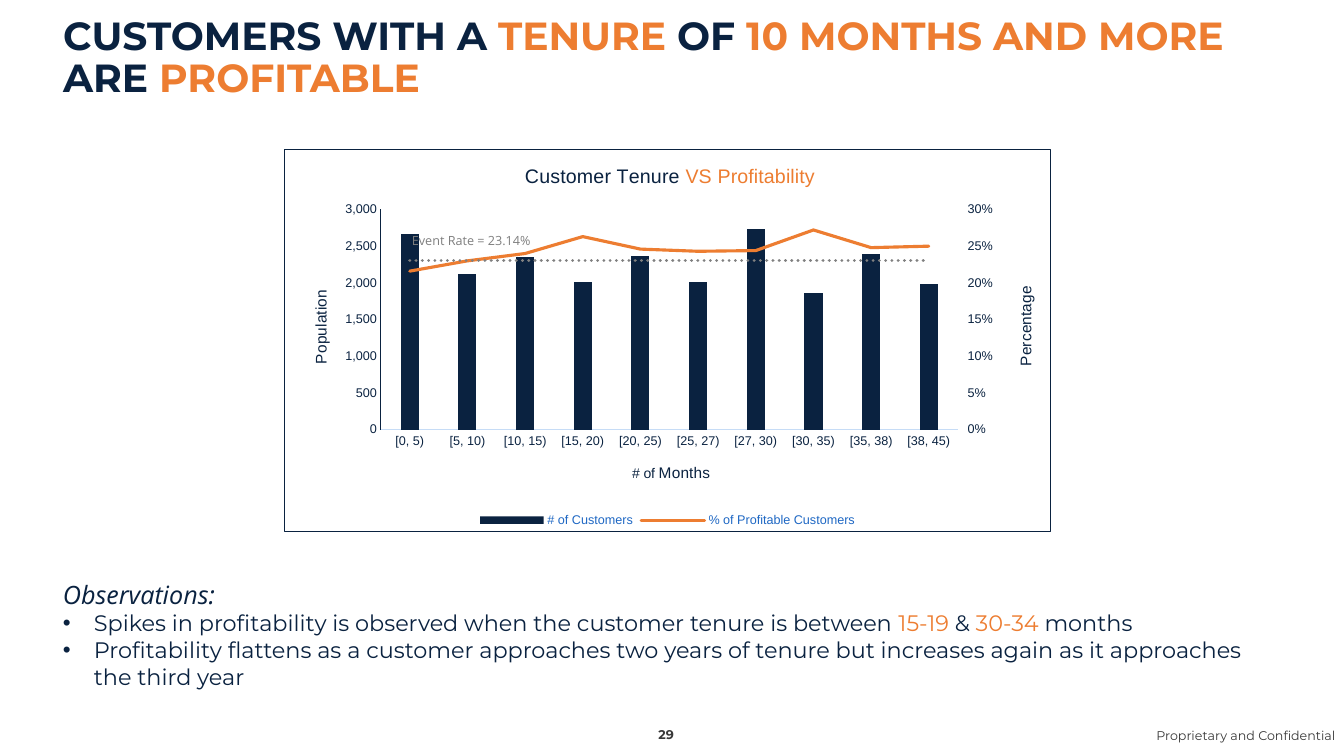
from pptx import Presentation
from pptx.chart.axis import ValueAxis
from pptx.chart.data import CategoryChartData
from pptx.dml.color import RGBColor
from pptx.enum.chart import XL_CHART_TYPE as ChartType, XL_LEGEND_POSITION as LegendPosition, XL_TICK_MARK as TickMark
from pptx.enum.dml import MSO_LINE as Dash
from pptx.enum.text import MSO_ANCHOR as Anchor, MSO_AUTO_SIZE as AutoSize, PP_ALIGN as Align
from pptx.oxml import parse_xml
from pptx.oxml.ns import nsdecls, qn
from pptx.util import Emu, Pt

NAVY = RGBColor(0x0A, 0x22, 0x40)
ORANGE = RGBColor(0xED, 0x7D, 0x31)
GRAY = RGBColor(0x80, 0x80, 0x80)
NOTE_GRAY = RGBColor(0x7F, 0x7F, 0x7F)
FOOTER_GRAY = RGBColor(0x39, 0x39, 0x39)
LEGEND_BLUE = RGBColor(0x1F, 0x68, 0xC4)
PALE_BLUE = RGBColor(0xC6, 0xDC, 0xF6)
EMU_PER_PX = 914400 / 100.8


def px(*lengths):
    return [Emu(round(length * EMU_PER_PX)) for length in lengths]


def write(paragraph, text, size=16, font="Montserrat", color=NAVY, bold=False, italic=False):
    run = paragraph.add_run()
    run.text = text
    run.font.size = Pt(size)
    run.font.name = font
    run.font.color.rgb = color
    run.font.bold = bold
    run.font.italic = italic


deck = Presentation()
deck.slide_width, deck.slide_height = px(1344, 756)
slide = deck.slides.add_slide(deck.slide_layouts[5])

# Title
headline = slide.shapes.title
headline.left, headline.top, headline.width, headline.height = px(53, 10, 1238, 96)
headline.text_frame.auto_size = AutoSize.NONE
headline.text_frame.vertical_anchor = Anchor.BOTTOM
headline_line = headline.text_frame.paragraphs[0]
headline_line.alignment = Align.LEFT
headline_line.line_spacing = 0.9
for text, color in [("CUSTOMERS WITH A ", NAVY), ("TENURE", ORANGE), (" OF ", NAVY),
                    ("10 MONTHS AND MORE ", ORANGE), ("ARE ", NAVY), ("PROFITABLE", ORANGE)]:
    write(headline_line, text, size=28, color=color, bold=True)

# Chart data
tenure_data = CategoryChartData()
tenure_data.categories = ["[0, 5)", "[5, 10)", "[10, 15)", "[15, 20)", "[20, 25)",
                          "[25, 27)", "[27, 30)", "[30, 35)", "[35, 38)", "[38, 45)"]
tenure_data.add_series("# of Customers",
                       [2660, 2120, 2350, 2010, 2360, 2010, 2740, 1860, 2400, 1990], "#,##0")
tenure_data.add_series("% of Profitable Customers",
                       [0.216, 0.23, 0.24, 0.263, 0.246, 0.243, 0.244, 0.272, 0.248, 0.25], "0%")
tenure_data.add_series("Series 3", [0.231] * 10, "0%")
chart = slide.shapes.add_chart(ChartType.COLUMN_CLUSTERED, *px(284, 149, 767, 383), tenure_data).chart
chart.font.size = Pt(10)
chart.font.name = "Arial"
chart.font.color.rgb = NAVY
months, population = chart.category_axis, chart.value_axis

# Lines on a second axis
plot_area = chart.element.find(qn("c:chart")).find(qn("c:plotArea"))
bars = plot_area.find(qn("c:barChart"))
lines = parse_xml(f"""<c:lineChart {nsdecls('c')}>
  <c:grouping val="standard"/><c:varyColors val="0"/>
  <c:marker val="1"/><c:axId val="5001"/><c:axId val="5002"/></c:lineChart>""")
for series in bars.findall(qn("c:ser"))[1:]:
    for invert in series.findall(qn("c:invertIfNegative")):
        series.remove(invert)
    series.find(qn("c:cat")).addprevious(
        parse_xml(f'<c:marker {nsdecls("c")}><c:symbol val="none"/></c:marker>'))
    lines.find(qn("c:marker")).addprevious(series)
bars.addnext(lines)
hidden_axis = parse_xml(f"""<c:catAx {nsdecls('c')}><c:axId val="5001"/>
  <c:scaling><c:orientation val="minMax"/></c:scaling><c:delete val="1"/>
  <c:axPos val="b"/><c:crossAx val="5002"/><c:crosses val="autoZero"/></c:catAx>""")
percent_axis = parse_xml(f"""<c:valAx {nsdecls('c')}><c:axId val="5002"/>
  <c:scaling><c:orientation val="minMax"/></c:scaling><c:delete val="0"/>
  <c:axPos val="r"/><c:tickLblPos val="nextTo"/><c:crossAx val="5001"/>
  <c:crosses val="max"/><c:crossBetween val="between"/></c:valAx>""")
plot_area.find(qn("c:valAx")).addnext(hidden_axis)
hidden_axis.addnext(percent_axis)
percentage = ValueAxis(percent_axis)

# Series
column_plot, line_plot = chart.plots
column_plot.gap_width = 219
column_plot.overlap = -27
column_plot.vary_by_categories = False
customers = column_plot.series[0]
customers.invert_if_negative = False
customers.format.fill.solid()
customers.format.fill.fore_color.rgb = NAVY
for rate, color, dash in zip(line_plot.series, [ORANGE, GRAY], [Dash.SOLID, Dash.ROUND_DOT]):
    rate.smooth = False
    rate.format.line.color.rgb = color
    rate.format.line.width = Pt(2.25)
    rate.format.line.dash_style = dash
for stroke in lines.iter(qn("a:ln")):
    stroke.set("cap", "rnd")

# Axes
for axis, title_runs, line_color, tick in [
        (months, [("# of ", 10), ("Months", 11)], PALE_BLUE, TickMark.NONE),
        (population, [("Population", 11)], NAVY, TickMark.NONE),
        (percentage, [("Percentage", 11)], None, TickMark.OUTSIDE)]:
    axis.has_major_gridlines = False
    axis.major_tick_mark = tick
    axis.minor_tick_mark = TickMark.NONE
    axis.tick_labels.font.size = Pt(9)
    axis.tick_labels.font.name = "Arial"
    axis.tick_labels.font.color.rgb = NAVY
    if line_color is None:
        axis.format.line.fill.background()
    else:
        axis.format.line.color.rgb = line_color
        axis.format.line.width = Pt(0.75)
    for text, size in title_runs:
        write(axis.axis_title.text_frame.paragraphs[0], text, size=size, font="Arial")
for axis, top, step, number_format in [(population, 3000, 500, "#,##0"), (percentage, 0.3, 0.05, "0%")]:
    axis.minimum_scale = 0
    axis.maximum_scale = top
    axis.major_unit = step
    axis.tick_labels.number_format = number_format
    axis.tick_labels.number_format_is_linked = False

# Chart title and legend
chart.has_title = True
chart_heading = chart.chart_title.text_frame.paragraphs[0]
write(chart_heading, "Customer Tenure ", size=14, font="Arial")
write(chart_heading, "VS Profitability", size=14, font="Arial", color=ORANGE)
chart.has_legend = True
chart.legend.position = LegendPosition.BOTTOM
chart.legend.include_in_layout = False
chart.legend.font.size = Pt(9)
chart.legend.font.name = "Arial"
chart.legend.font.color.rgb = LEGEND_BLUE
chart.element.find(".//" + qn("c:legendPos")).addnext(parse_xml(
    f'<c:legendEntry {nsdecls("c")}><c:idx val="2"/><c:delete val="1"/></c:legendEntry>'))

# Placement inside the chart: heading, months, population, percentage
titles = list(chart.element.iter(qn("c:title")))
for title, x, y in zip(titles, [0.31, 0.45, 0.03, 0.95], [0.03, 0.81, 0.36, 0.35]):
    for layout in title.findall(qn("c:layout")):
        title.remove(layout)
    title.find(qn("c:tx")).addnext(parse_xml(f"""<c:layout {nsdecls('c')}><c:manualLayout>
      <c:xMode val="edge"/><c:yMode val="edge"/><c:x val="{x}"/><c:y val="{y}"/>
      </c:manualLayout></c:layout>"""))
for title in titles[2:]:
    turned = title.find(".//" + qn("a:bodyPr"))
    turned.set("rot", "-5400000")
    turned.set("vert", "horz")
for layout in plot_area.findall(qn("c:layout")):
    plot_area.remove(layout)
plot_area.insert(0, parse_xml(f"""<c:layout {nsdecls('c')}><c:manualLayout>
  <c:layoutTarget val="inner"/><c:xMode val="edge"/><c:yMode val="edge"/>
  <c:x val="0.126"/><c:y val="0.157"/><c:w val="0.753"/><c:h val="0.577"/>
  </c:manualLayout></c:layout>"""))
chart.element.find(qn("c:chart")).addnext(parse_xml(f"""<c:spPr {nsdecls('c', 'a')}><a:noFill/>
  <a:ln w="9525"><a:solidFill><a:srgbClr val="{NAVY}"/></a:solidFill></a:ln></c:spPr>"""))

# Event rate label, footer and page number
for place, text, align, anchor, look in [
        ((402, 228, 143, 25), "Event Rate = 23.14%", Align.LEFT, Anchor.TOP,
         dict(font="Open Sans", color=NOTE_GRAY)),
        ((1142, 723, 203, 28), "Proprietary and Confidential", Align.RIGHT, Anchor.TOP,
         dict(color=FOOTER_GRAY)),
        ((638, 719, 60, 28), "29 ", Align.CENTER, Anchor.BOTTOM,
         dict(color=FOOTER_GRAY, bold=True))]:
    label = slide.shapes.add_textbox(*px(*place)).text_frame
    label.word_wrap = True
    label.vertical_anchor = anchor
    label.paragraphs[0].alignment = align
    write(label.paragraphs[0], text, size=9, **look)

# Observations
observations = slide.shapes.add_textbox(*px(53, 574, 1238, 122)).text_frame
observations.word_wrap = True
write(observations.paragraphs[0], "Observations:", size=18, font="Open Sans", italic=True)
for finding in [
        [("Spikes in profitability is observed when the customer tenure is between ", NAVY),
         ("15-19", ORANGE), (" & ", NAVY), ("30-34", ORANGE), (" months", NAVY)],
        [("Profitability flattens as a customer approaches two years of tenure but increases "
          "again as it approaches the third year", NAVY)]]:
    bullet = observations.add_paragraph()
    for text, color in finding:
        write(bullet, text, color=color)
    indent = px(31)[0]
    properties = bullet._p.get_or_add_pPr()
    properties.set("marL", str(indent))
    properties.set("indent", str(-indent))
    for mark in [f'<a:buClr {nsdecls("a")}><a:srgbClr val="{NAVY}"/></a:buClr>',
                 f'<a:buFont {nsdecls("a")} typeface="Arial"/>',
                 f'<a:buChar {nsdecls("a")} char="•"/>']:
        properties.append(parse_xml(mark))

deck.save("out.pptx")
